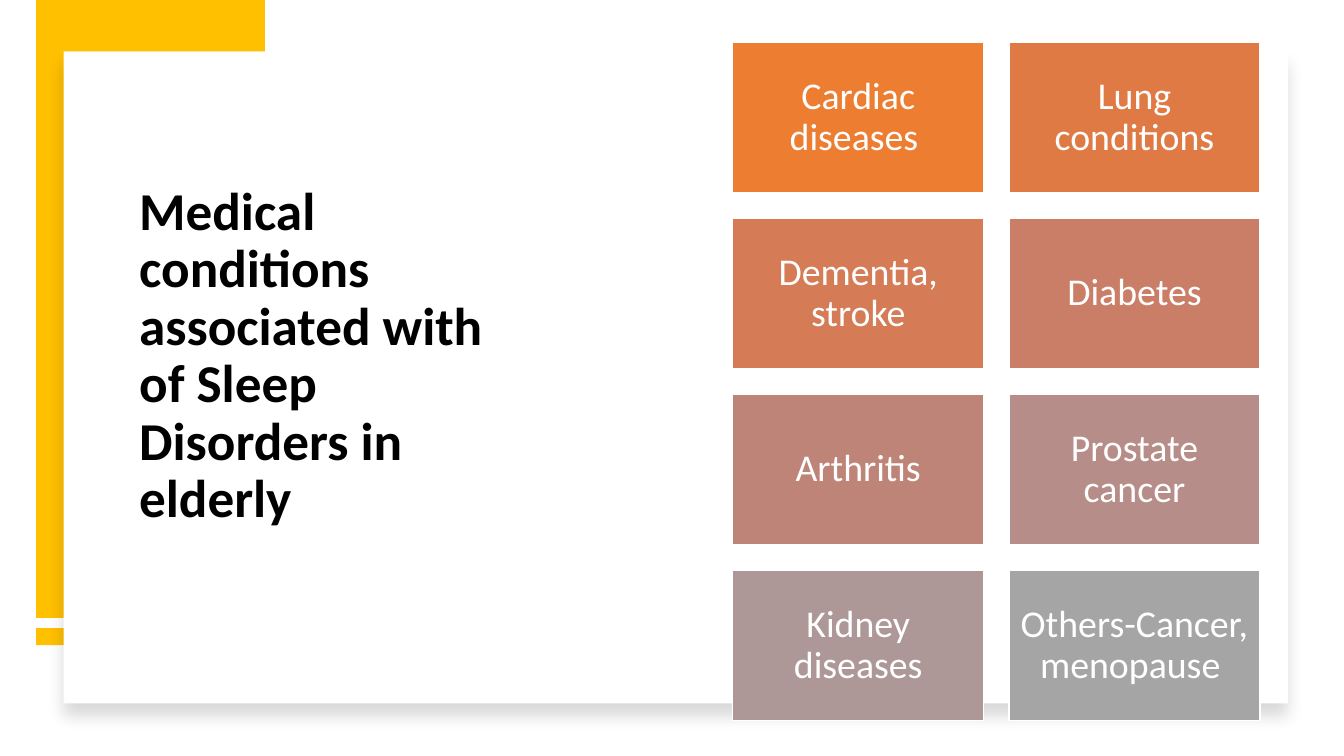
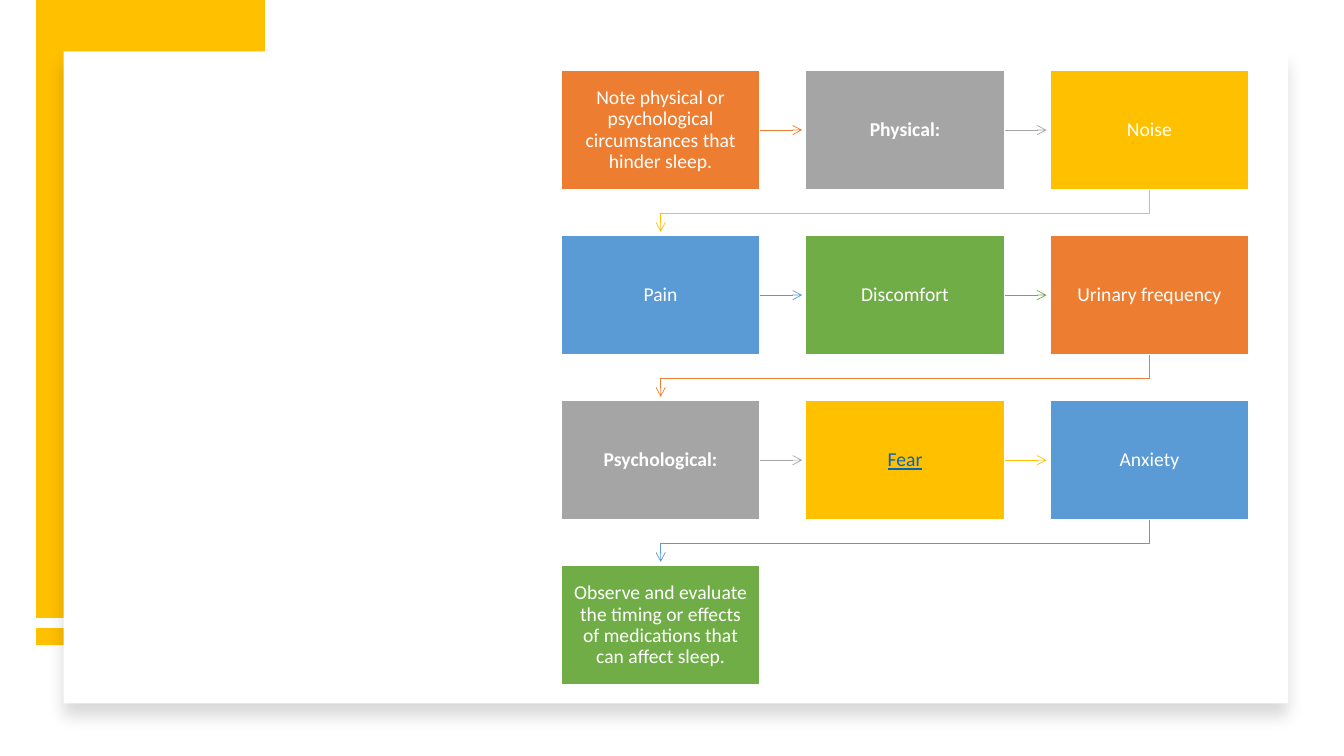
from dataclasses import dataclass
from itertools import cycle

from lxml import etree
from pptx import Presentation
from pptx.dml.color import RGBColor
from pptx.enum import shapes, text
from pptx.oxml import ns
from pptx.util import Pt


@dataclass(frozen=True)
class Theme:
    font: str = "Calibri"
    white: str = "FFFFFF"
    black: str = "000000"
    gold: str = "FFC000"
    link: str = "0563C1"
    tints: tuple = ("ED7D31", "E07A44", "D57B56", "CA7E67",
                    "BF8478", "B68D88", "AD9897", "A5A5A5")
    hues: tuple = ("ED7D31", "A5A5A5", "FFC000", "5B9BD5", "70AD47")
    title: float = 38
    tile: float = 27
    step: float = 14
    edge: float = 1
    arrow: float = 0.5


@dataclass(frozen=True)
class Box:
    left: float
    top: float
    width: float
    height: float

    def points(self) -> tuple:
        return Pt(self.left), Pt(self.top), Pt(self.width), Pt(self.height)


@dataclass(frozen=True)
class Grid:
    first: Box
    across: float
    down: float
    cols: int

    def cell(self, index: int) -> Box:
        row, col = divmod(index, self.cols)
        return Box(self.first.left + col * self.across,
                   self.first.top + row * self.down,
                   self.first.width, self.first.height)


@dataclass(frozen=True)
class Label:
    words: str
    color: str = Theme.white
    bold: bool = False
    under: bool = False


THEME = Theme()
BANDS = (Box(25.9, 448.6, 163.4, 12.2), Box(25.9, 0, 163.4, 441.4))
PANEL = Box(45.4, 36.7, 874.8, 465.8)
TITLE = Box(92.2, 94.3, 296.6, 321.1)
TILES = Grid(Box(523.4, 30.2, 179.3, 107.6), 197.3, 125.7, 2)
FLOW = Grid(Box(401, 50.4, 141.8, 85), 174.6, 117.9, 3)
REACH, BEND = 30.2, 16.8

ILLS = ("Cardiac diseases ", "Lung conditions", "Dementia, stroke", "Diabetes",
        "Arthritis", "Prostate cancer", "Kidney diseases",
        "Others-Cancer, menopause ")
STEPS = (
    Label("Note physical or psychological circumstances that hinder sleep."),
    Label("Physical:", bold=True),
    Label("Noise"),
    Label("Pain"),
    Label("Discomfort"),
    Label("Urinary frequency"),
    Label("Psychological:", bold=True),
    Label("Fear", THEME.link, under=True),
    Label("Anxiety"),
    Label("Observe and evaluate the timing or effects of medications "
          "that can affect sleep."),
)


def add_rect(slide, box: Box, fill: str, edge: str = ""):
    rect = slide.shapes.add_shape(shapes.MSO_SHAPE.RECTANGLE, *box.points())
    rect.shadow.inherit = False
    rect.fill.solid()
    rect.fill.fore_color.rgb = RGBColor.from_string(fill)
    if edge:
        rect.line.color.rgb = RGBColor.from_string(edge)
        rect.line.width = Pt(THEME.edge)
    else:
        rect.line.fill.background()
    return rect


def add_text(frame, label: Label, size: float, align) -> None:
    frame.word_wrap = True
    frame.auto_size = text.MSO_AUTO_SIZE.NONE
    frame.vertical_anchor = text.MSO_ANCHOR.MIDDLE
    para = frame.paragraphs[0]
    para.alignment = align
    para.line_spacing = 0.9
    run = para.add_run()
    run.text = label.words
    font = run.font
    font.name, font.size = THEME.font, Pt(size)
    font.bold, font.underline = label.bold, label.under
    font.color.rgb = RGBColor.from_string(label.color)


def add_card(slide, box: Box, fill: str, label: Label, size: float,
             inset: float) -> None:
    frame = add_rect(slide, box, fill, THEME.white).text_frame
    frame.margin_left = frame.margin_right = Pt(inset)
    frame.margin_top = frame.margin_bottom = Pt(inset)
    add_text(frame, label, size, text.PP_ALIGN.CENTER)


def add_shade(shape) -> None:
    effects = shape.element.spPr.find(ns.qn("a:effectLst"))
    shade = etree.SubElement(effects, ns.qn("a:outerShdw"), blurRad=str(Pt(11)),
                             dist=str(Pt(10)), dir="5400000", algn="t",
                             rotWithShape="0")
    color = etree.SubElement(shade, ns.qn("a:srgbClr"), val=THEME.black)
    etree.SubElement(color, ns.qn("a:alpha"), val="15000")


def add_frame(slide) -> None:
    for band in BANDS:
        add_rect(slide, band, THEME.gold)
    add_shade(add_rect(slide, PANEL, THEME.white))


def style_arrow(arrow, color: str) -> None:
    arrow.line.color.rgb = RGBColor.from_string(color)
    arrow.line.width = Pt(THEME.arrow)
    line = arrow.element.spPr.find(ns.qn("a:ln"))
    etree.SubElement(line, ns.qn("a:tailEnd"), type="arrow")


def add_arrow(slide, box: Box, color: str) -> None:
    start, mid = box.left + box.width, box.top + box.height / 2
    arrow = slide.shapes.add_connector(
        shapes.MSO_CONNECTOR.STRAIGHT,
        Pt(start), Pt(mid), Pt(start + REACH), Pt(mid))
    etree.SubElement(arrow.element.spPr, ns.qn("a:effectLst"))
    line_first = arrow.element.spPr.find(ns.qn("a:effectLst"))
    style_arrow(arrow, color)
    arrow.element.spPr.append(line_first)


def add_turn(slide, box: Box, goal: Box, color: str) -> None:
    start, end = (b.left + b.width / 2 for b in (box, goal))
    base = box.top + box.height
    pen = slide.shapes.build_freeform(Pt(start), Pt(base))
    pen.add_line_segments([(Pt(start), Pt(base + BEND)),
                           (Pt(end), Pt(base + BEND)),
                           (Pt(end), Pt(base + REACH))], close=False)
    turn = pen.convert_to_shape()
    turn.shadow.inherit = False
    turn.fill.background()
    style_arrow(turn, color)


def build_ills(deck) -> None:
    slide = deck.slides.add_slide(deck.slide_layouts[5])
    add_frame(slide)
    title = slide.shapes.title
    title.element.getparent().append(title.element)
    title.left, title.top, title.width, title.height = TITLE.points()
    label = Label("Medical conditions associated with of Sleep Disorders "
                  "in elderly", THEME.black, bold=True)
    add_text(title.text_frame, label, THEME.title, text.PP_ALIGN.LEFT)
    for index, (words, tint) in enumerate(zip(ILLS, THEME.tints)):
        add_card(slide, TILES.cell(index), tint, Label(words), THEME.tile, 7.9)


def build_flow(deck) -> None:
    slide = deck.slides.add_slide(deck.slide_layouts[6])
    add_frame(slide)
    for index, (label, hue) in enumerate(zip(STEPS, cycle(THEME.hues))):
        box, goal = FLOW.cell(index), FLOW.cell(index + 1)
        if index + 1 < len(STEPS):
            if goal.top == box.top:
                add_arrow(slide, box, hue)
            else:
                add_turn(slide, box, goal, hue)
        add_card(slide, box, hue, label, THEME.step, 7.2)


def main() -> None:
    deck = Presentation()
    deck.slide_width, deck.slide_height = Pt(960), Pt(540)
    build_ills(deck)
    build_flow(deck)
    deck.save("out.pptx")


if __name__ == "__main__":
    main()
